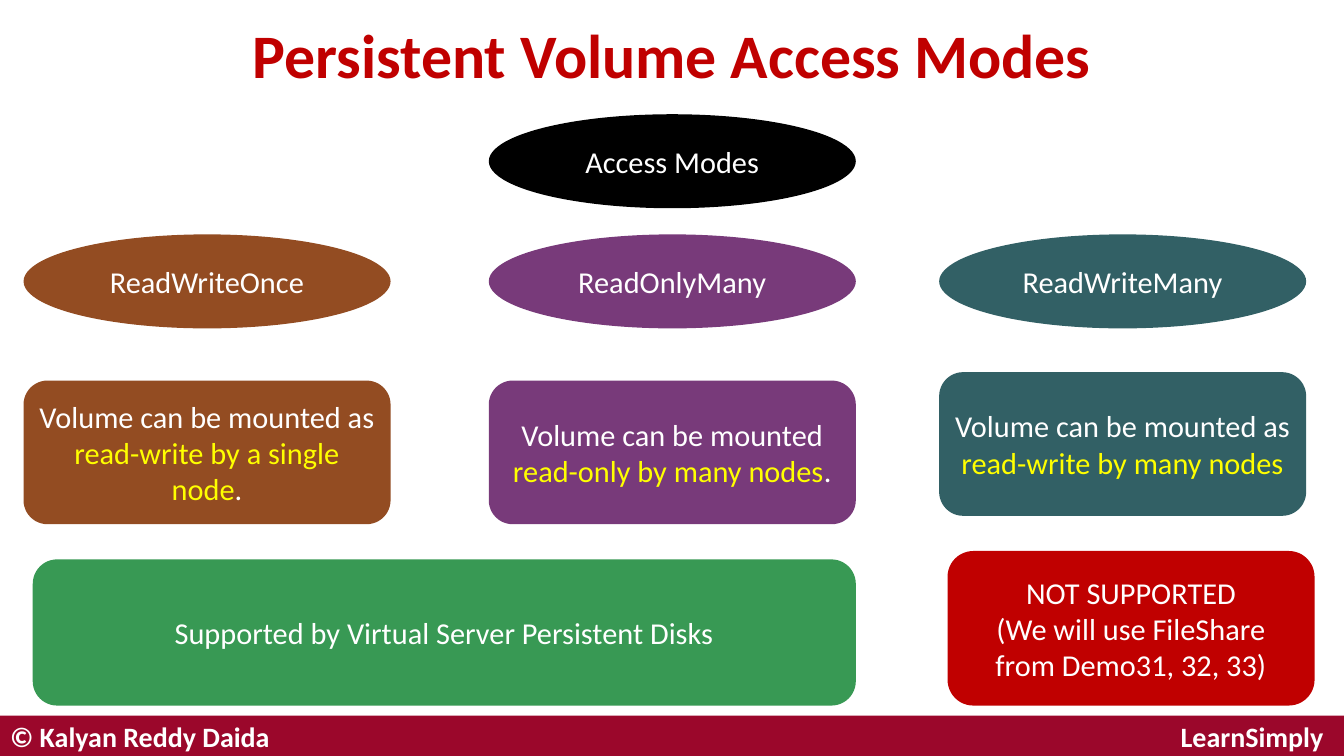
import pptx
import pptx.util
import pptx.dml.color
import pptx.enum.shapes
import pptx.enum.text

Pt = pptx.util.Pt
SHAPE = pptx.enum.shapes.MSO_SHAPE
ALIGN = pptx.enum.text.PP_ALIGN

COLORS = {
    "white": "FFFFFF", "yellow": "FFFF00", "black": "000000", "red": "C00000",
    "brown": "934C22", "purple": "783A7A", "teal": "326065", "green": "389954",
    "maroon": "9B072B",
}
TITLE = "Persistent Volume Access Modes"
ROOT = "Access Modes"
AUTHOR = "© Kalyan Reddy Daida"
SITE = "LearnSimply"
MODES = [
    ("ReadWriteOnce", "brown", 20.2, 326.2,
     [("Volume can be mounted as ", "white"), ("read-write by a single node", "yellow"), (".", "white")]),
    ("ReadOnlyMany", "purple", 419, 326.2,
     [("Volume can be mounted ", "white"), ("read-only by many nodes", "yellow"), (".", "white")]),
    ("ReadWriteMany", "teal", 805, 319,
     [("Volume can be mounted as ", "white"), ("read-write by many nodes", "yellow")]),
]
SUPPORT = [
    (["Supported by Virtual Server Persistent Disks"], "green", (28.1, 479.5, 705.5, 125.3)),
    (["NOT SUPPORTED", "(We will use FileShare from Demo31, 32, 33)"], "red", (812.2, 472.3, 314.6, 132.5)),
]

WIDTH, HEIGHT = 1152, 648
MODE_W, OVAL_H, RULE_H = 314.6, 80.6, 123.1
ROOT_TOP, MODE_TOP = 97.9, 200.9
FOOTER_TOP, FOOTER_H = 613.4, 34.6

deck = pptx.Presentation()
deck.slide_width, deck.slide_height = Pt(WIDTH), Pt(HEIGHT)
slide = deck.slides.add_slide(deck.slide_layouts[6])


def rgb(color):
    return pptx.dml.color.RGBColor.from_string(COLORS[color])


def write(paragraphs, box, kind=None, fill=None, size=26, color="white",
          bold=False, align=ALIGN.CENTER, spacing=None, inset=(7.2, 3.6)):
    place = [Pt(length) for length in box]
    if kind is None:
        part = slide.shapes.add_textbox(*place)
    else:
        part = slide.shapes.add_shape(kind, *place)
        part.shadow.inherit = False
        part.fill.solid()
        part.fill.fore_color.rgb = rgb(fill)
        part.line.fill.background()
    frame = part.text_frame
    frame.word_wrap = True
    frame.vertical_anchor = pptx.enum.text.MSO_ANCHOR.MIDDLE
    frame.margin_left = frame.margin_right = Pt(inset[0])
    frame.margin_top = frame.margin_bottom = Pt(inset[1])
    for index, content in enumerate(paragraphs):
        paragraph = frame.add_paragraph() if index else frame.paragraphs[0]
        paragraph.alignment = align
        if spacing:
            paragraph.line_spacing = spacing
        pieces = [(content, color)] if isinstance(content, str) else content
        for words, ink in pieces:
            run = paragraph.add_run()
            run.text = words
            run.font.name = "Calibri"
            run.font.size = Pt(size)
            run.font.bold = bold
            run.font.color.rgb = rgb(ink)


write([], (-1.4, FOOTER_TOP, 1153.4, FOOTER_H), kind=SHAPE.RECTANGLE, fill="maroon")
footer = {"size": 24, "bold": True, "inset": (8.6, 4.3)}
write([SITE], (994.3, FOOTER_TOP, 157.7, FOOTER_H), **footer)
write([AUTHOR], (0, FOOTER_TOP, 260.6, FOOTER_H), align=ALIGN.LEFT, **footer)
write([TITLE], (79.2, 3.6, 993.6, 93.6), size=53, color="red", bold=True,
      spacing=0.9, inset=(8.6, 4.3))

for mode, fill, left, rule_top, rule in MODES:
    write([mode], (left, MODE_TOP, MODE_W, OVAL_H), kind=SHAPE.OVAL, fill=fill)
    write([rule], (left, rule_top, MODE_W, RULE_H), kind=SHAPE.ROUNDED_RECTANGLE, fill=fill)
for lines, fill, box in SUPPORT:
    write(lines, box, kind=SHAPE.ROUNDED_RECTANGLE, fill=fill)
write([ROOT], (MODES[1][2], ROOT_TOP, MODE_W, OVAL_H), kind=SHAPE.OVAL, fill="black")

deck.save("out.pptx")
